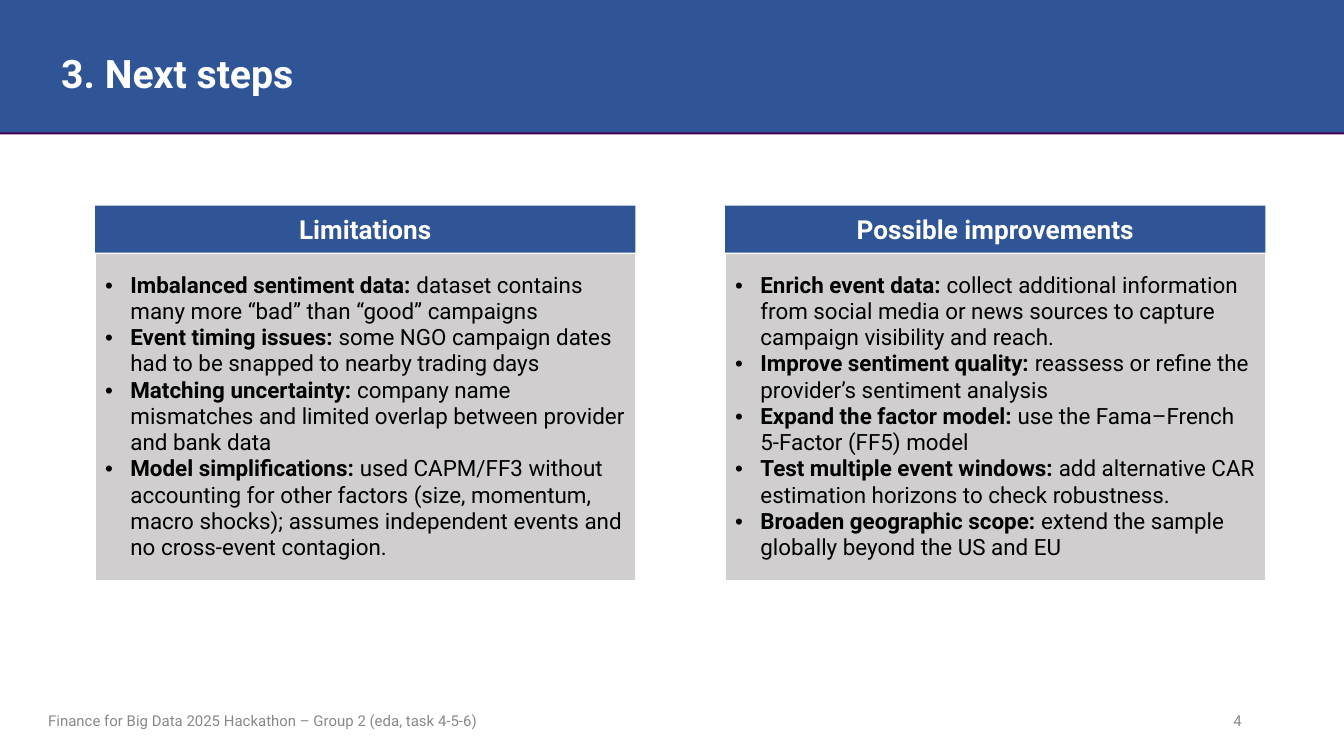
from dataclasses import dataclass

from lxml.etree import SubElement
from pptx import Presentation
from pptx.dml.color import RGBColor
from pptx.enum.shapes import MSO_SHAPE
from pptx.enum.text import MSO_ANCHOR, MSO_AUTO_SIZE, PP_ALIGN
from pptx.oxml.ns import qn
from pptx.slide import Slide
from pptx.util import Pt


@dataclass(frozen=True)
class Theme:
    font: str = "Roboto"
    blue: str = "2F5597"
    purple: str = "440154"
    panel: str = "D0CECE"
    white: str = "FFFFFF"
    black: str = "000000"
    grey: str = "888888"
    title_size: float = 21
    heading_size: float = 14
    body_size: float = 12
    footer_size: float = 8


@dataclass(frozen=True)
class Area:
    """Left, top, width and height in points."""
    left: float
    top: float
    width: float
    height: float

    def lengths(self) -> tuple:
        return Pt(self.left), Pt(self.top), Pt(self.width), Pt(self.height)


@dataclass(frozen=True)
class Point:
    label: str
    detail: str


@dataclass(frozen=True)
class Panel:
    heading: str
    left: float
    points: tuple[Point, ...]


THEME = Theme()
PAGE_WIDTH, PAGE_HEIGHT = 720, 405
PANEL_TOP, PANEL_WIDTH = 110.2, 289.4
HEADING_HEIGHT, LIST_HEIGHT = 25.2, 175.7
BULLET_INDENT = 13.5

PANELS = (
    Panel("Limitations", 51, (
        Point("Imbalanced sentiment data:",
              "dataset contains many more “bad” than “good” campaigns"),
        Point("Event timing issues:",
              "some NGO campaign dates had to be snapped to nearby trading days"),
        Point("Matching uncertainty:",
              "company name mismatches and limited overlap between provider and bank data"),
        Point("Model simplifications:",
              "used CAPM/FF3 without accounting for other factors (size, momentum, "
              "macro shocks); assumes independent events and no cross-event contagion."),
    )),
    Panel("Possible improvements", 388.5, (
        Point("Enrich event data:",
              "collect additional information from social media or news sources "
              "to capture campaign visibility and reach."),
        Point("Improve sentiment quality:",
              "reassess or refine the provider’s sentiment analysis"),
        Point("Expand the factor model:", "use the Fama–French 5-Factor (FF5) model"),
        Point("Test multiple event windows:",
              "add alternative CAR estimation horizons to check robustness."),
        Point("Broaden geographic scope:",
              "extend the sample globally beyond the US and EU"),
    )),
)


def apply_format(target, values: dict) -> None:
    for name, value in values.items():
        setattr(target, name, value)


def add_span(para, text: str, size: float, color: str, bold: bool = False) -> None:
    span = para.add_run()
    span.text = text
    apply_format(span.font, {"name": THEME.font, "size": Pt(size), "bold": bold})
    span.font.color.rgb = RGBColor.from_string(color)


def format_frame(frame, side: float = 5.3, end: float = 2.7) -> None:
    apply_format(frame, {
        "word_wrap": True, "auto_size": MSO_AUTO_SIZE.NONE,
        "vertical_anchor": MSO_ANCHOR.MIDDLE,
        "margin_left": Pt(side), "margin_right": Pt(side),
        "margin_top": Pt(end), "margin_bottom": Pt(end),
    })


def add_rectangle(page: Slide, area: Area, color: str):
    box = page.shapes.add_shape(MSO_SHAPE.RECTANGLE, *area.lengths())
    box.shadow.inherit = False
    box.fill.solid()
    box.fill.fore_color.rgb = RGBColor.from_string(color)
    box.line.fill.background()
    return box


def add_title(page: Slide, text: str) -> None:
    title = page.shapes.title
    for area, color in ((Area(0, 0, PAGE_WIDTH, 72), THEME.purple),
                        (Area(0, 0, PAGE_WIDTH, 71), THEME.blue)):
        title.element.addprevious(add_rectangle(page, area, color).element)
    left, top, width, height = Area(27.5, 18, 607, 45.4).lengths()
    apply_format(title, {"left": left, "top": top, "width": width, "height": height})
    format_frame(title.text_frame, end=5.3)
    para = title.text_frame.paragraphs[0]
    apply_format(para, {"alignment": PP_ALIGN.LEFT, "line_spacing": 0.9})
    add_span(para, text, THEME.title_size, THEME.white, True)


def add_footer(page: Slide, area: Area, text: str, alignment: PP_ALIGN) -> None:
    box = page.shapes.add_textbox(*area.lengths())
    format_frame(box.text_frame)
    para = box.text_frame.paragraphs[0]
    para.alignment = alignment
    add_span(para, text, THEME.footer_size, THEME.grey)


def add_bullet(para) -> None:
    properties = para._p.get_or_add_pPr()
    properties.set("marL", str(Pt(BULLET_INDENT)))
    properties.set("indent", str(-Pt(BULLET_INDENT)))
    color = SubElement(properties, qn("a:buClr"))
    SubElement(color, qn("a:srgbClr")).set("val", THEME.black)
    SubElement(properties, qn("a:buFont")).set("typeface", "Arial")
    SubElement(properties, qn("a:buChar")).set("char", "•")


def add_panel(page: Slide, panel: Panel) -> None:
    """Draw a one-cell table of bullets under a heading bar."""
    list_area = Area(panel.left, PANEL_TOP + HEADING_HEIGHT, PANEL_WIDTH, LIST_HEIGHT)
    table = page.shapes.add_table(1, 1, *list_area.lengths()).table
    apply_format(table, {"first_row": False, "horz_banding": False})
    cell = table.cell(0, 0)
    cell.fill.solid()
    cell.fill.fore_color.rgb = RGBColor.from_string(THEME.panel)
    apply_format(cell, {
        "vertical_anchor": MSO_ANCHOR.MIDDLE,
        "margin_left": Pt(5.4), "margin_right": Pt(5.4),
        "margin_top": Pt(2.7), "margin_bottom": Pt(2.7),
    })
    frame = cell.text_frame
    for index, point in enumerate(panel.points):
        para = frame.add_paragraph() if index else frame.paragraphs[0]
        add_bullet(para)
        add_span(para, point.label + " ", THEME.body_size, THEME.black, True)
        add_span(para, point.detail, THEME.body_size, THEME.black)

    heading_area = Area(panel.left, PANEL_TOP, PANEL_WIDTH, HEADING_HEIGHT)
    heading = add_rectangle(page, heading_area, THEME.blue)
    format_frame(heading.text_frame)
    para = heading.text_frame.paragraphs[0]
    para.alignment = PP_ALIGN.CENTER
    add_span(para, panel.heading, THEME.heading_size, THEME.white, True)


def main() -> None:
    deck = Presentation()
    apply_format(deck, {"slide_width": Pt(PAGE_WIDTH), "slide_height": Pt(PAGE_HEIGHT)})
    page = deck.slides.add_slide(deck.slide_layouts.get_by_name("Title Only"))
    add_title(page, "3. Next steps")
    add_footer(page, Area(20.5, 375, 289.5, 22.5),
               "Finance for Big Data 2025 Hackathon – Group 2 (eda, task 4-5-6)",
               PP_ALIGN.LEFT)
    add_footer(page, Area(427.5, 375, 243, 21.6), "4", PP_ALIGN.RIGHT)
    for panel in PANELS:
        add_panel(page, panel)
    deck.save("out.pptx")


if __name__ == "__main__":
    main()
